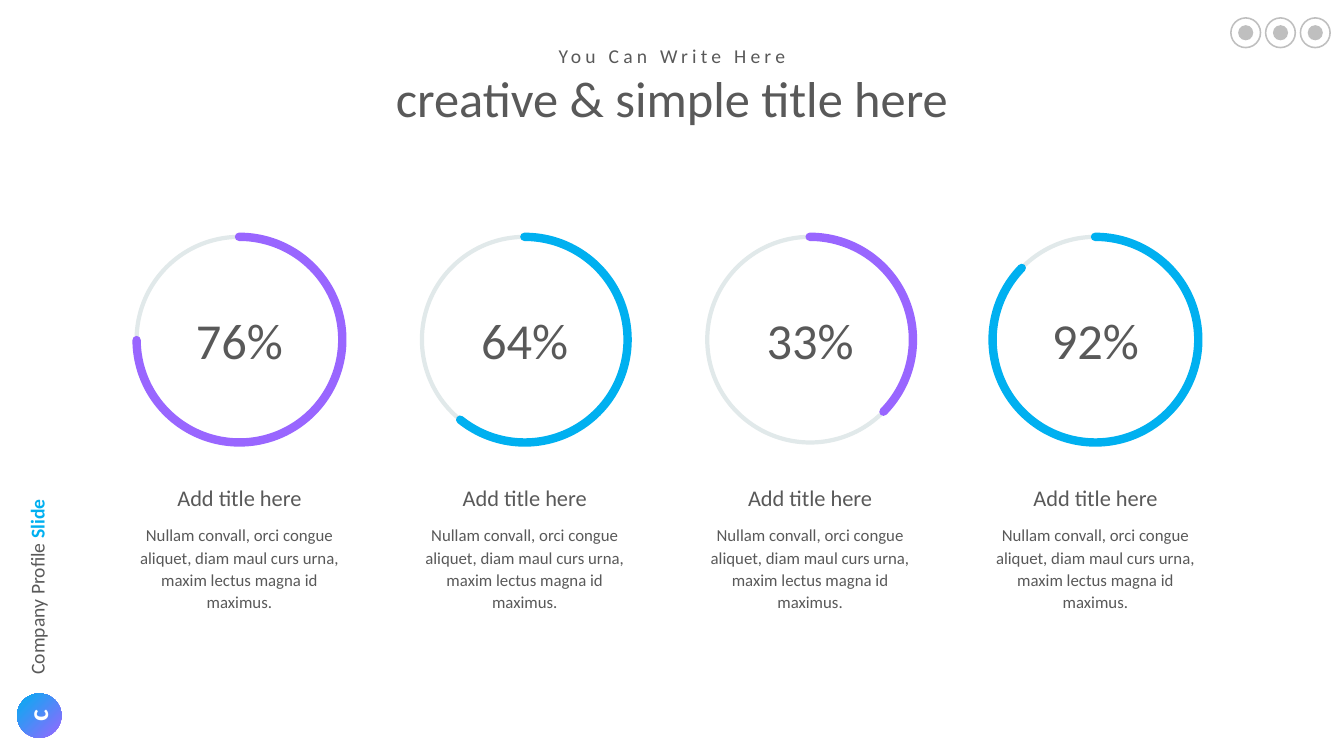
from lxml import etree
from pptx import Presentation
from pptx.dml.color import RGBColor
from pptx.enum import shapes, text
from pptx.oxml import ns
from pptx.util import Inches, Pt

GREY = RGBColor(0x59, 0x59, 0x59)
TRACK = RGBColor(0xE1, 0xE9, 0xEA)
ICON = RGBColor(0xBF, 0xBF, 0xBF)
PURPLE = RGBColor(0x99, 0x66, 0xFF)
BLUE = RGBColor(0x00, 0xB0, 0xF0)
WHITE = RGBColor(0xFF, 0xFF, 0xFF)

BODY = ("Nullam convall, orci congue aliquet, diam maul curs urna, "
        "maxim lectus magna id maximus.")
# Label, angle in degrees where the arc begins, colour
GAUGES = [("76%", 0.26, PURPLE), ("64%", 51.1, BLUE),
          ("33%", 135.51, PURPLE), ("92%", 315.75, BLUE)]
ARC_END = 270.21
ADJUST_PER_DEGREE = 0.6


def add_span(para, words, size, color=GREY, bold=False, spacing=0):
    span = para.add_run()
    span.text = words
    span.font.name = "Calibri"
    span.font.size = Pt(size)
    span.font.bold = bold
    span.font.color.rgb = color
    if spacing:
        span.font._element.set("spc", str(spacing * 100))


def add_text(page, area, words, size, wrap=False, rotation=0,
             align=text.PP_ALIGN.CENTER, line_spacing=None, **style):
    box = page.shapes.add_textbox(*map(Inches, area))
    box.rotation = rotation
    frame = box.text_frame
    frame.word_wrap = wrap
    frame.auto_size = text.MSO_AUTO_SIZE.SHAPE_TO_FIT_TEXT
    para = frame.paragraphs[0]
    para.alignment = align
    if line_spacing:
        para.line_spacing = line_spacing
    add_span(para, words, size, **style)
    return para


def add_plain(page, kind, area, fill=None, line=None, width=0):
    shape = page.shapes.add_shape(kind, *map(Inches, area))
    shape.shadow.inherit = False
    if fill is None:
        shape.fill.background()
    else:
        shape.fill.solid()
        shape.fill.fore_color.rgb = fill
    if line is None:
        shape.line.fill.background()
    else:
        shape.line.color.rgb = line
        shape.line.width = Pt(width)
    return shape


def add_heading(page, left, top, width):
    add_text(page, (left + 3.02, top, 2.51, 0.34), "You Can Write Here", 14,
             spacing=3)
    add_text(page, (left, top + 0.29, width, 0.65),
             "creative & simple title here", 36, wrap=True, line_spacing=0.9)


def add_gauge(page, left, top, width, label, start, color):
    size = 2.04
    ring = (left + (width - size) / 2, top, size, size)

    # Track with the percentage
    track = add_plain(page, shapes.MSO_SHAPE.OVAL, ring, line=TRACK, width=3)
    frame = track.text_frame
    frame.margin_top = frame.margin_bottom = 0
    frame.vertical_anchor = text.MSO_ANCHOR.MIDDLE
    frame.paragraphs[0].alignment = text.PP_ALIGN.CENTER
    add_span(frame.paragraphs[0], label, 36)

    # Progress arc, mirrored and with round ends
    arc = add_plain(page, shapes.MSO_SHAPE.ARC, ring, line=color, width=6)
    arc.adjustments[0] = start * ADJUST_PER_DEGREE
    arc.adjustments[1] = ARC_END * ADJUST_PER_DEGREE
    properties = arc._element.spPr
    properties.find(ns.qn("a:xfrm")).set("flipH", "1")
    line = properties.find(ns.qn("a:ln"))
    line.set("cap", "rnd")
    etree.SubElement(line, ns.qn("a:round"))

    # Caption
    add_text(page, (left + (width - 1.45) / 2, top + 2.4, 1.45, 0.37),
             "Add title here", 16)
    add_text(page, (left, top + 2.79, width, 0.99), BODY, 12, wrap=True,
             line_spacing=1.1)


def add_side_label(page, left, top):
    badge = add_plain(page, shapes.MSO_SHAPE.OVAL,
                      (left, top, 0.44, 0.44), fill=BLUE)
    badge.fill.gradient()
    badge.fill.gradient_angle = 135
    for stop, color in zip(badge.fill.gradient_stops, (PURPLE, BLUE)):
        stop.color.rgb = color
    add_text(page, (left + 0.04, top, 0.32, 0.44), "c", 20, rotation=270,
             color=WHITE, bold=True)
    para = add_text(page, (left - 0.77, top - 1.23, 1.94, 0.34),
                    "Company Profile ", 14, rotation=270,
                    align=text.PP_ALIGN.LEFT)
    add_span(para, "Slide", 14, color=BLUE, bold=True)


def add_icons(page, left, top, count=3, size=0.31, pitch=0.345, dot=0.15):
    inset = (size - dot) / 2
    for index in range(count):
        x = left + index * pitch
        ring = add_plain(page, shapes.MSO_SHAPE.DONUT, (x, top, size, size),
                         fill=ICON)
        ring.adjustments[0] = 0.05
        add_plain(page, shapes.MSO_SHAPE.OVAL,
                  (x + inset, top + inset, dot, dot), fill=ICON)


def main():
    deck = Presentation()
    deck.slide_width, deck.slide_height = Inches(13.33), Inches(7.5)
    page = deck.slides.add_slide(deck.slide_layouts[6])
    add_heading(page, 2.39, 0.39, 8.55)
    for index, gauge in enumerate(GAUGES):
        add_gauge(page, 1.24 + index * 2.83, 2.35, 2.27, *gauge)
    add_side_label(page, 0.17, 6.88)
    add_icons(page, 12.2, 0.17)
    deck.save("out.pptx")


if __name__ == "__main__":
    main()
